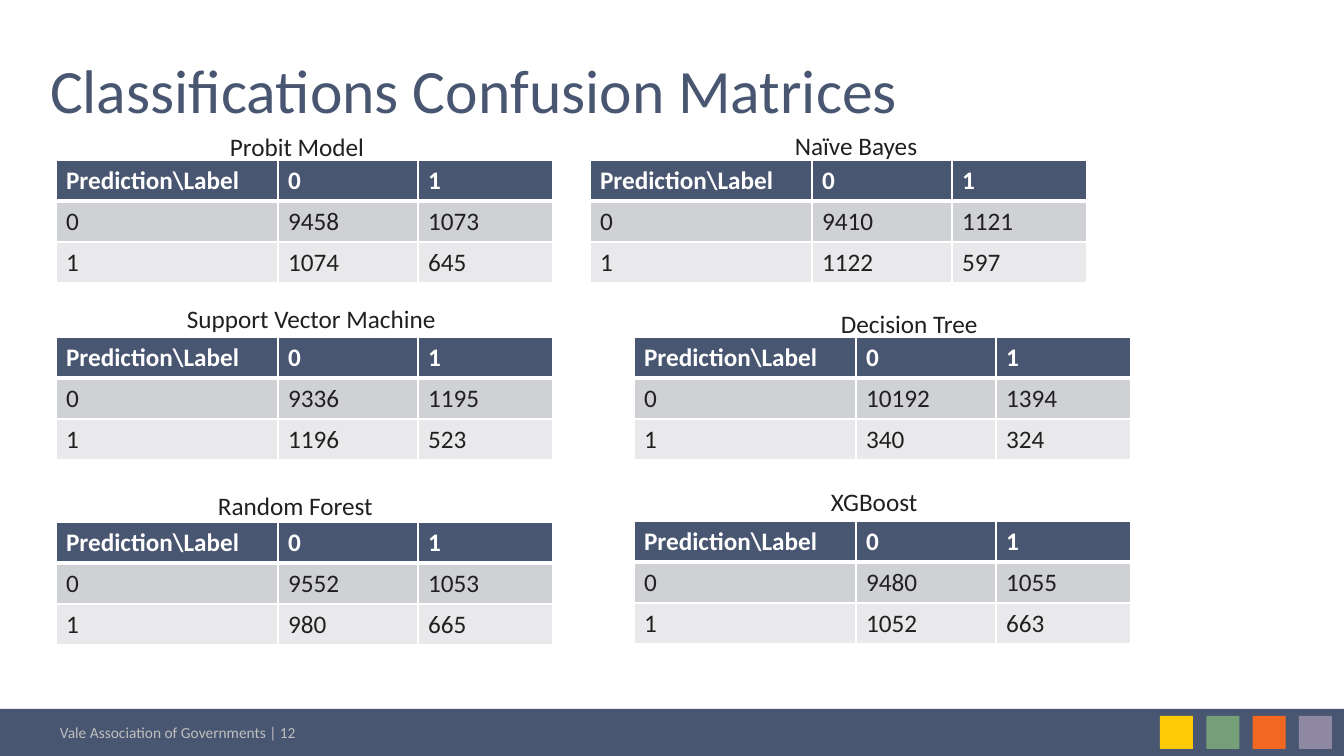
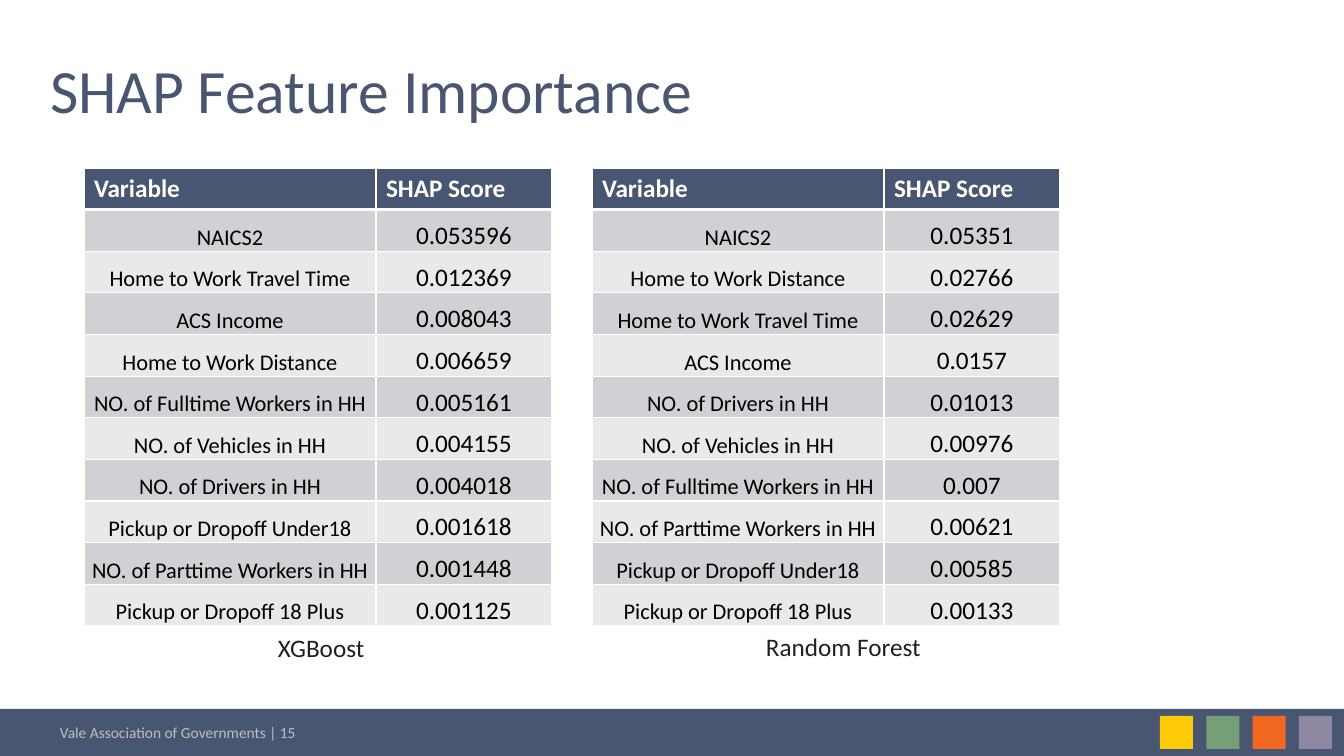
"""Build two slides of model results: confusion matrices and SHAP scores."""
from lxml import etree
from pptx import Presentation
from pptx.dml.color import RGBColor
from pptx.enum.shapes import MSO_SHAPE
from pptx.enum.text import MSO_ANCHOR, PP_ALIGN
from pptx.oxml.ns import qn
from pptx.util import Pt

RECT = MSO_SHAPE.RECTANGLE
MIDDLE, BOTTOM = MSO_ANCHOR.MIDDLE, MSO_ANCHOR.BOTTOM
CENTER = PP_ALIGN.CENTER

WIDE, HIGH = 1344, 756
SCALE = 12192000 / WIDE
FONT = "Calibri"
NAVY, WHITE, INK, BLACK, GREY = "495671", "FFFFFF", "202020", "000000", "BFBFBF"
BANDS = ["D0D1D5", "E9E9EB"]
TILES = ["FFCB08", "749F77", "F26823", "8E88A3"]
OWNER = "Vale Association of Governments"

GRID_COLS, GRID_HIGH = (222, 140, 135), 123
GRID_HEAD = ("Prediction\\Label", "0", "1")
# name, caption left and top, table left and top, counts
GRIDS = [
    ("Probit Model", 220, 126, 56, 160, (9458, 1073), (1074, 645)),
    ("Naïve Bayes", 785, 125, 590, 160, (9410, 1121), (1122, 597)),
    ("Support Vector Machine", 177, 298, 56, 337, (9336, 1195), (1196, 523)),
    ("Decision Tree", 831, 303, 634, 337, (10192, 1394), (340, 324)),
    ("Random Forest", 208, 485, 56, 522, (9552, 1053), (980, 665)),
    ("XGBoost", 821, 481, 634, 521, (9480, 1055), (1052, 663)),
]

RANK_COLS, RANK_HIGH, RANK_TOP = (292, 176), 458, 168
RANK_HEAD = ("Variable", "SHAP Score")
RANKS = [
    ("XGBoost", 268, 627, 84, [
        ("NAICS2", "0.053596"),
        ("Home to Work Travel Time", "0.012369"),
        ("ACS Income", "0.008043"),
        ("Home to Work Distance", "0.006659"),
        ("NO. of Fulltime Workers in HH", "0.005161"),
        ("NO. of Vehicles in HH", "0.004155"),
        ("NO. of Drivers in HH", "0.004018"),
        ("Pickup or Dropoff Under18", "0.001618"),
        ("NO. of Parttime Workers in HH", "0.001448"),
        ("Pickup or Dropoff 18 Plus", "0.001125"),
    ]),
    ("Random Forest", 756, 626, 592, [
        ("NAICS2", "0.05351"),
        ("Home to Work Distance", "0.02766"),
        ("Home to Work Travel Time", "0.02629"),
        ("ACS Income", "0.0157"),
        ("NO. of Drivers in HH", "0.01013"),
        ("NO. of Vehicles in HH", "0.00976"),
        ("NO. of Fulltime Workers in HH", "0.007"),
        ("NO. of Parttime Workers in HH", "0.00621"),
        ("Pickup or Dropoff Under18", "0.00585"),
        ("Pickup or Dropoff 18 Plus", "0.00133"),
    ]),
]


def px(num):
    return round(num * SCALE)


def paint(fill, color):
    fill.solid()
    fill.fore_color.rgb = RGBColor.from_string(color)


def style(para, size, color, bold=False):
    font = para.font
    font.name, font.size, font.bold = FONT, Pt(size), bold
    font.color.rgb = RGBColor.from_string(color)


def add_rect(slide, box, color):
    rect = slide.shapes.add_shape(RECT, *map(px, box))
    rect.shadow.inherit = False
    rect.line.fill.background()
    paint(rect.fill, color)


def add_text(slide, box, text, size, color, wrap=True):
    frame = slide.shapes.add_textbox(*map(px, box)).text_frame
    frame.word_wrap = wrap
    para = frame.paragraphs[0]
    para.text = text
    style(para, size, color)
    return frame


def add_label(slide, left, top, text):
    add_text(slide, (left, top, 278, 40), text, 18, INK, wrap=False)


def rule(cell, side, width):
    line = etree.SubElement(cell._tc.get_or_add_tcPr(), qn(f"a:ln{side}"), w=str(Pt(width)))
    fill = etree.SubElement(line, qn("a:solidFill"))
    etree.SubElement(fill, qn("a:srgbClr"), val=WHITE)


def add_table(slide, left, top, high, cols, rows, ranked=False):
    box = (left, top, sum(cols), high)
    table = slide.shapes.add_table(len(rows), len(cols), *map(px, box)).table
    for col, wide in zip(table.columns, cols):
        col.width = px(wide)
    for r, row in enumerate(rows):
        table.rows[r].height = px(high / len(rows))
        for c, value in enumerate(row):
            cell = table.cell(r, c)
            for side in "LRTB":
                rule(cell, side, 3 if (r, side) in ((0, "B"), (1, "T")) else 1)
            paint(cell.fill, BANDS[(r - 1) % 2] if r else NAVY)
            para = cell.text_frame.paragraphs[0]
            para.text = str(value)
            if r == 0:
                style(para, 18, WHITE, True)
            elif ranked:
                style(para, 18 if c else 16, BLACK)
                para.alignment = CENTER
                cell.vertical_anchor = BOTTOM
                cell.margin_left = cell.margin_right = cell.margin_top = px(1)
                cell.margin_bottom = 0
            else:
                style(para, 18, INK)


def add_slide(deck, title, page):
    slide = deck.slides.add_slide(deck.slide_layouts[6])
    add_rect(slide, (0, 709, WIDE, 47), NAVY)
    for i, color in enumerate(TILES):
        add_rect(slide, (1160 + 139 * i / 3, 716, 33, 33), color)
    add_text(slide, (50, 718, 491, 29), f"{OWNER} | {page}", 11, GREY)
    frame = add_text(slide, (50, 64, 1004, 63), title, 44, NAVY)
    frame.margin_left = frame.margin_bottom = 0
    frame.vertical_anchor = MIDDLE
    frame.paragraphs[0].line_spacing = Pt(40)
    return slide


def main():
    deck = Presentation()
    deck.slide_width, deck.slide_height = px(WIDE), px(HIGH)

    slide = add_slide(deck, "Classifications Confusion Matrices", 12)
    for name, x, y, left, top, *counts in GRIDS:
        rows = [GRID_HEAD] + [(i, *pair) for i, pair in enumerate(counts)]
        add_table(slide, left, top, GRID_HIGH, GRID_COLS, rows)
        add_label(slide, x, y, name)

    slide = add_slide(deck, "SHAP Feature Importance", 15)
    for name, x, y, left, scores in RANKS:
        rows = [RANK_HEAD] + scores
        add_table(slide, left, RANK_TOP, RANK_HIGH, RANK_COLS, rows, ranked=True)
        add_label(slide, x, y, name)

    deck.save("out.pptx")


if __name__ == "__main__":
    main()
